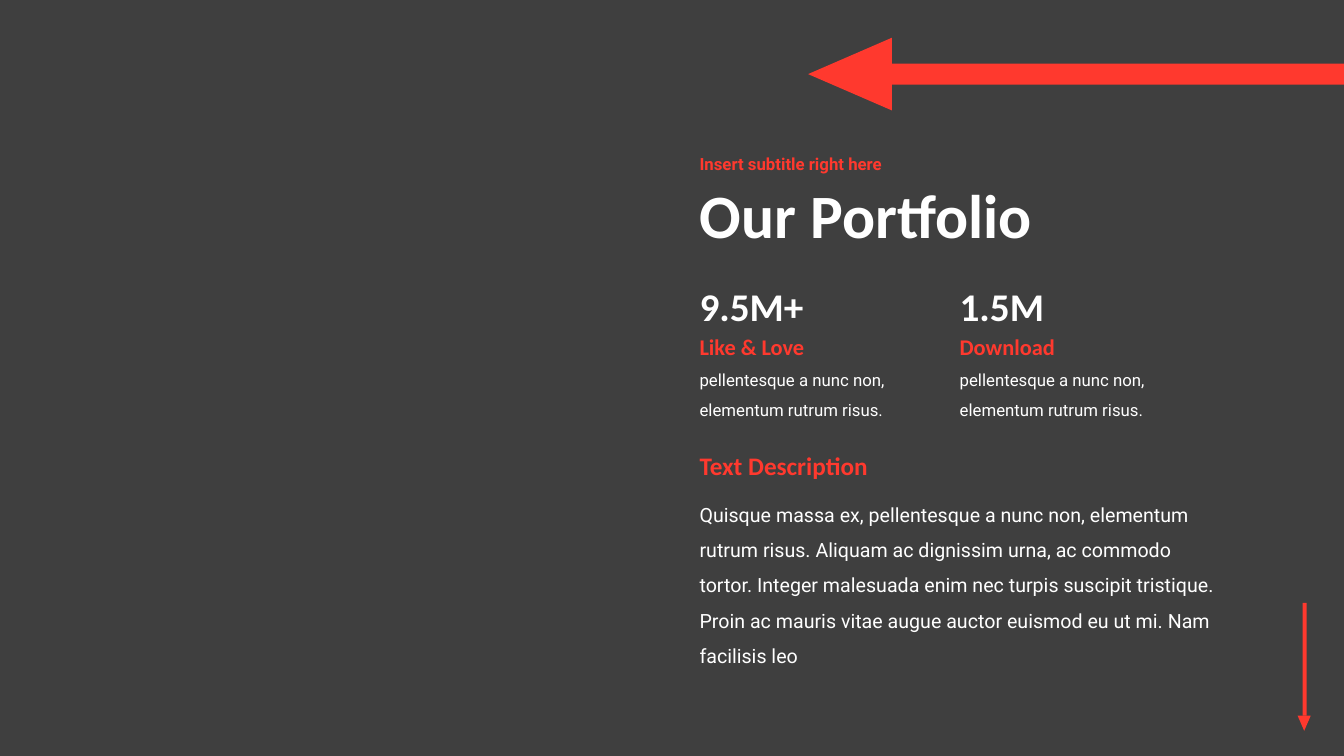
from pptx import Presentation
from pptx.dml.color import RGBColor
from pptx.enum.shapes import MSO_SHAPE as Shape
from pptx.enum.text import MSO_ANCHOR as Anchor, MSO_AUTO_SIZE as AutoSize, PP_ALIGN as Align
from pptx.util import Inches, Pt

DARK = RGBColor(0x3F, 0x3F, 0x3F)
RED = RGBColor(0xFF, 0x39, 0x2E)
WHITE = RGBColor(0xFF, 0xFF, 0xFF)

LEFT = 6.84
COLUMN_STEP = 2.58
STATISTICS = [("9.5M+", "Like & Love"), ("1.5M", "Download")]
STATISTIC_NOTE = "pellentesque a nunc non, elementum rutrum risus."
DESCRIPTION = (
    "Quisque massa ex, pellentesque a nunc non, elementum rutrum risus. "
    "Aliquam ac dignissim urna, ac commodo tortor. Integer malesuada enim nec "
    "turpis suscipit tristique. Proin ac mauris vitae augue auctor euismod eu "
    "ut mi. Nam facilisis leo"
)


def text_style(name, size, color, bold):
    return {"name": name, "size": Pt(size), "color": color, "bold": bold}


TITLE = text_style("Calibri", 44, WHITE, True)
SUBTITLE = text_style("Roboto", 12, RED, True)
FIGURE = text_style("Calibri", 28, WHITE, True)
LABEL = text_style("Calibri", 16, RED, True)
NOTE = text_style("Roboto", 12, WHITE, False)
HEADING = text_style("Calibri", 18, RED, True)
BODY = text_style("Roboto", 14, WHITE, False)


def write_text(box, text, style, spacing, anchor, fit):
    frame = box.text_frame
    settings = {"word_wrap": True, "auto_size": fit, "vertical_anchor": anchor}
    for name, value in settings.items():
        setattr(frame, name, value)
    para = frame.paragraphs[0]
    para.alignment = Align.LEFT
    para.line_spacing = spacing
    span = para.add_run()
    span.text = text
    for name, value in style.items():
        if name == "color":
            span.font.color.rgb = value
        else:
            setattr(span.font, name, value)


def add_text(page, place, text, style, spacing=1.0, anchor=Anchor.TOP,
             fit=AutoSize.SHAPE_TO_FIT_TEXT):
    box = page.shapes.add_textbox(*map(Inches, place))
    write_text(box, text, style, spacing, anchor, fit)


def add_title(page, place, text):
    title = page.shapes.title
    for name, value in zip(("left", "top", "width", "height"), place):
        setattr(title, name, Inches(value))
    write_text(title, text, TITLE, 0.9, Anchor.MIDDLE, AutoSize.NONE)


def add_red_shape(page, kind, place, rotation):
    shape = page.shapes.add_shape(kind, *map(Inches, place))
    shape.rotation = rotation
    shape.shadow.inherit = False
    shape.fill.solid()
    shape.fill.fore_color.rgb = RED
    shape.line.fill.background()


def add_arrow(page, shaft, shaft_rotation, head, head_rotation):
    add_red_shape(page, Shape.RECTANGLE, shaft, shaft_rotation)
    add_red_shape(page, Shape.ISOSCELES_TRIANGLE, head, head_rotation)


def add_statistic(page, left, figure, label):
    add_text(page, (left, 3.52, 2.53, 0.67), STATISTIC_NOTE, NOTE, 1.5)
    add_text(page, (left, 3.26, 2, 0.37), label, LABEL)
    add_text(page, (left, 2.75, 2, 0.57), figure, FIGURE)


def main():
    deck = Presentation()
    deck.slide_width, deck.slide_height = Inches(13.33), Inches(7.5)
    page = deck.slides.add_slide(deck.slide_layouts[5])
    page.background.fill.solid()
    page.background.fill.fore_color.rgb = DARK

    add_arrow(page, (12.38, 6.52, 1.12, 0.04), 90, (12.87, 7.1, 0.13, 0.15), 180)
    add_title(page, (LEFT, 1.65, 7.5, 1.03), "Our Portfolio")
    add_text(page, (LEFT, 1.45, 7.5, 0.38), "Insert subtitle right here",
             SUBTITLE, 0.9, Anchor.MIDDLE, AutoSize.NONE)
    add_text(page, (LEFT, 4.82, 5.33, 1.48), DESCRIPTION, BODY, 1.5)
    add_text(page, (LEFT, 4.42, 2.92, 0.4), "Text Description", HEADING)
    for column, (figure, label) in enumerate(STATISTICS):
        add_statistic(page, LEFT + column * COLUMN_STEP, figure, label)
    add_arrow(page, (8.84, 0.63, 5.21, 0.21), 180, (8.07, 0.32, 0.72, 0.83), 270)

    deck.save("out.pptx")


if __name__ == "__main__":
    main()
